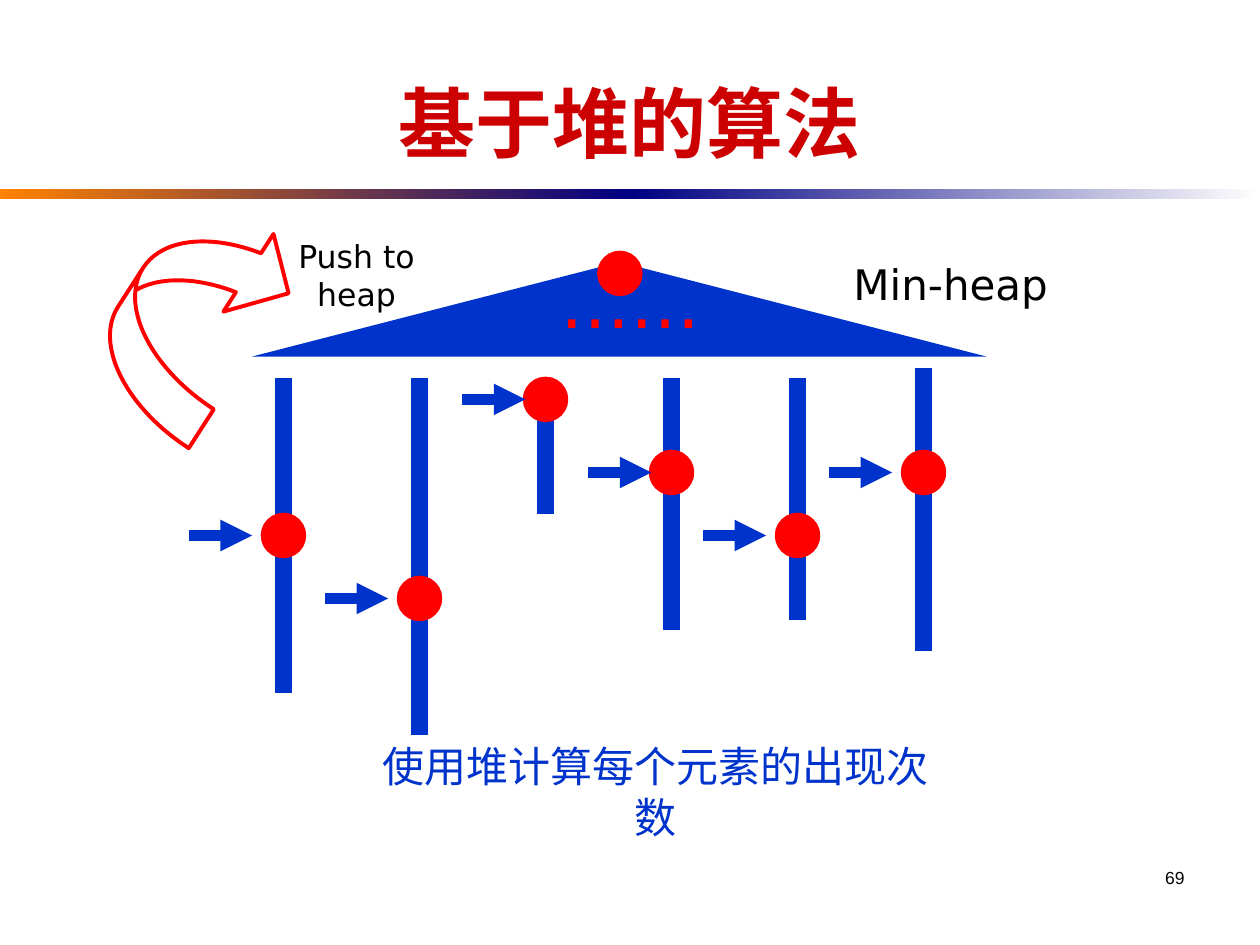
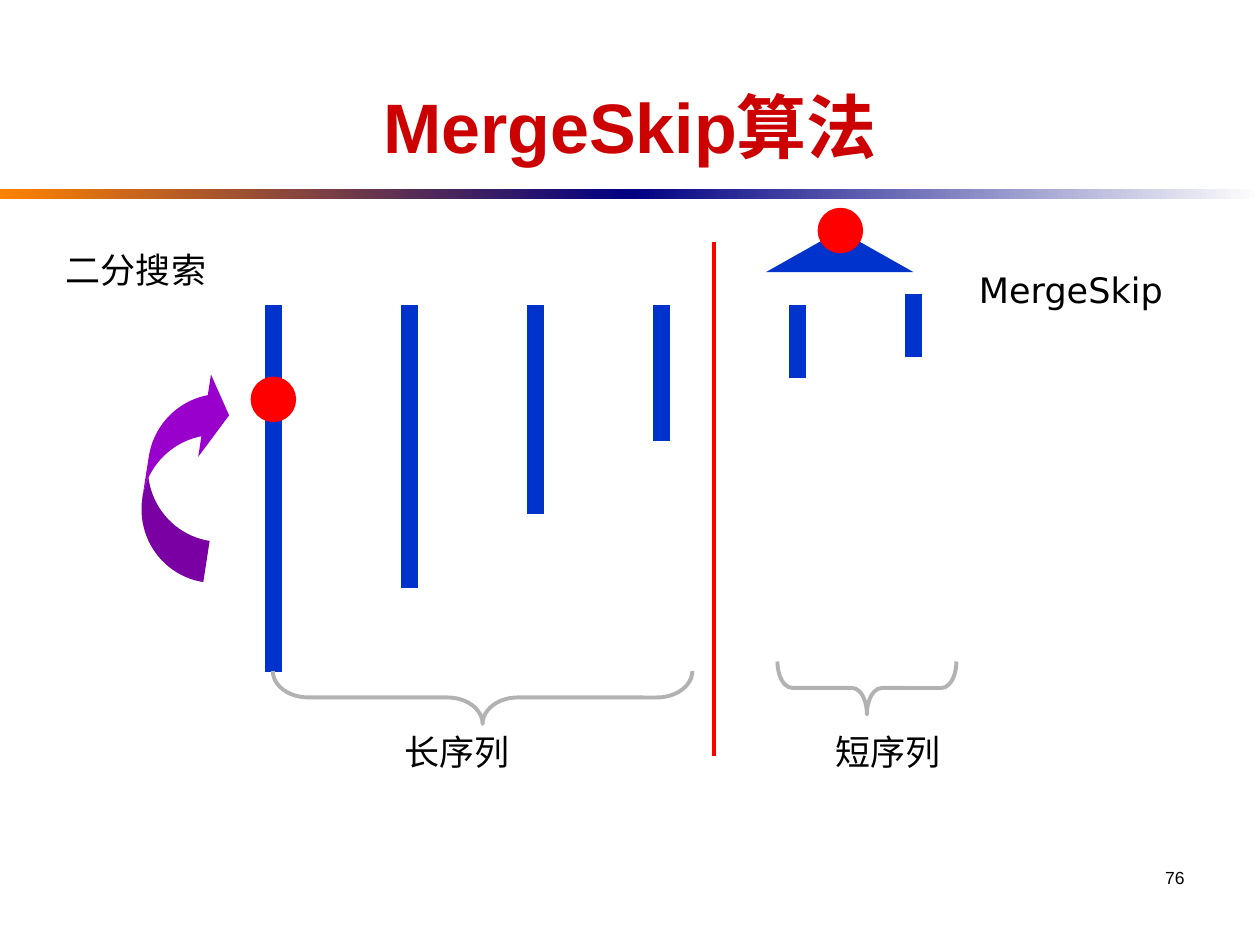
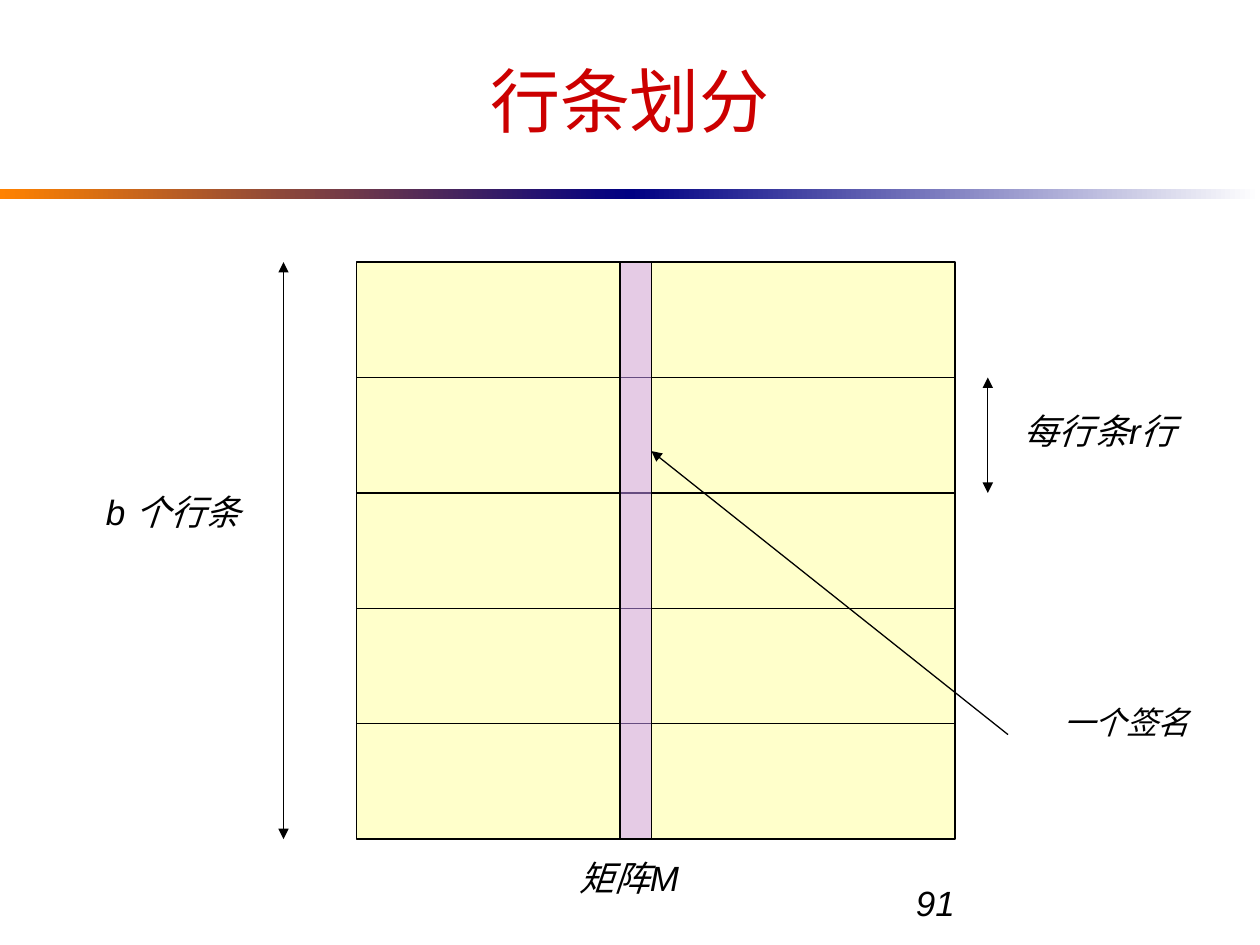
from dataclasses import dataclass

from lxml import etree
from pptx import Presentation
from pptx.dml.color import RGBColor
from pptx.enum.shapes import MSO_CONNECTOR, MSO_SHAPE
from pptx.enum.text import MSO_ANCHOR, MSO_AUTO_SIZE, PP_ALIGN
from pptx.oxml.ns import qn
from pptx.util import Inches, Pt

RECT, OVAL, TRIANGLE = MSO_SHAPE.RECTANGLE, MSO_SHAPE.OVAL, MSO_SHAPE.ISOSCELES_TRIANGLE
BRACE = MSO_SHAPE.RIGHT_BRACE
LEFT_ARROW, DOWN_ARROW = MSO_SHAPE.CURVED_LEFT_ARROW, MSO_SHAPE.CURVED_DOWN_ARROW
STRAIGHT = MSO_CONNECTOR.STRAIGHT
LEFT, CENTER, RIGHT = PP_ALIGN.LEFT, PP_ALIGN.CENTER, PP_ALIGN.RIGHT
MIDDLE, BOTTOM = MSO_ANCHOR.MIDDLE, MSO_ANCHOR.BOTTOM
NO_FIT, GROW = MSO_AUTO_SIZE.NONE, MSO_AUTO_SIZE.SHAPE_TO_FIT_TEXT

BLUE, RED, BLACK, TITLE_RED = "0033CC", "FF0000", "000000", "CC0000"
GRAY, PURPLE, YELLOW, LILAC = "B2B2B2", "9900CC", "FFFF99", "CC99FF"
ORANGE, NAVY, WHITE = "FF8200", "000082", "FFFFFF"
SANS, DIAGRAM = "Arial", "DejaVu Sans"
DOT = 0.33
TITLE_ONLY = 5


@dataclass(frozen=True)
class Box:
    left: float
    top: float
    width: float
    height: float

    def emu(self) -> tuple:
        return tuple(Inches(v) for v in (self.left, self.top, self.width, self.height))


@dataclass(frozen=True)
class Label:
    text: str
    box: Box
    size: float = 20
    color: str = BLACK
    font: str = DIAGRAM
    align: int = CENTER
    italic: bool = False
    wrap: bool = True
    grow: bool = True


@dataclass(frozen=True)
class InvertedList:
    x: float
    top: float
    bottom: float


@dataclass(frozen=True)
class ScannedList(InvertedList):
    cursor_y: float
    pointer_tip: float


def rgb(color: str) -> RGBColor:
    return RGBColor.from_string(color)


# Drawing helpers
def format_text(frame, size: float, color: str, font: str, align: int,
                bold: bool = False, italic: bool = False) -> None:
    for paragraph in frame.paragraphs:
        paragraph.alignment = align
        for run in paragraph.runs:
            run.font.size, run.font.name = Pt(size), font
            run.font.bold, run.font.italic = bold, italic
            run.font.color.rgb = rgb(color)


def add_label(slide, label: Label) -> None:
    frame = slide.shapes.add_textbox(*label.box.emu()).text_frame
    frame.word_wrap = label.wrap
    frame.auto_size = GROW if label.grow else NO_FIT
    frame.text = label.text
    format_text(frame, label.size, label.color, label.font, label.align, italic=label.italic)


def add_figure(slide, preset: int, box: Box, fill: str = "", line: str = "",
               weight: float = 2.25, alpha: int = 100, rotation: float = 0,
               adjustments: tuple = ()):
    shape = slide.shapes.add_shape(preset, *box.emu())
    shape.shadow.inherit = False
    shape.rotation = rotation
    for index, value in enumerate(adjustments):
        shape.adjustments[index] = value
    if fill:
        shape.fill.solid()
        shape.fill.fore_color.rgb = rgb(fill)
        if alpha < 100:
            color = shape.fill._xPr.find(".//" + qn("a:srgbClr"))
            etree.SubElement(color, qn("a:alpha"), val=str(alpha * 1000))
    else:
        shape.fill.background()
    if line:
        shape.line.color.rgb = rgb(line)
        shape.line.width = Pt(weight)
    else:
        shape.line.fill.background()
    return shape


def add_line(slide, start: tuple, end: tuple, color: str = BLACK, weight: float = 0.75,
             heads: tuple = ()) -> None:
    connector = slide.shapes.add_connector(
        STRAIGHT, *(Inches(v) for v in (*start, *end)))
    connector.line.color.rgb = rgb(color)
    connector.line.width = Pt(weight)
    properties = connector.element.spPr
    for head in heads:
        etree.SubElement(properties.find(qn("a:ln")), qn("a:" + head), type="triangle")
    etree.SubElement(properties, qn("a:effectLst"))


def add_dot(slide, x: float, y: float) -> None:
    add_figure(slide, OVAL, Box(x - DOT / 2, y - DOT / 2, DOT, DOT), RED, RED)


def add_list(slide, item: InvertedList) -> None:
    add_line(slide, (item.x, item.top), (item.x, item.bottom), BLUE, 10)


# Shared frame: title, gradient band, page number
def add_band(slide, layout) -> None:
    for left, first, last in ((0, ORANGE, NAVY), (5, NAVY, WHITE)):
        band = add_figure(slide, RECT, Box(left, 1.5, 5, 0.08))
        band.fill.gradient()
        band.fill.gradient_angle = 0
        for stop, color in zip(band.fill.gradient_stops, (first, last)):
            stop.color.rgb = rgb(color)
        layout.shapes.element.append(band.element)


def add_slide(deck, title: str, size: float = 40, bold: bool = True,
              anchor: int = BOTTOM, inset: tuple = (0, 0)):
    slide = deck.slides.add_slide(deck.slide_layouts[TITLE_ONLY])
    holder = slide.shapes.title
    holder.left, holder.top, holder.width, holder.height = Box(0.5, 0.25, 9, 1.08).emu()
    frame = holder.text_frame
    frame.text = title
    frame.auto_size, frame.vertical_anchor = NO_FIT, anchor
    frame.margin_left = frame.margin_right = Inches(inset[0])
    frame.margin_top = frame.margin_bottom = Inches(inset[1])
    format_text(frame, size, TITLE_RED, SANS, CENTER, bold)
    return slide


def add_page_number(slide, number: int) -> None:
    add_label(slide, Label(str(number), Box(7.17, 6.83, 2.33, 0.5), 10,
                           font=SANS, align=RIGHT, grow=False))


# Slides
def heap_slide(deck) -> None:
    slide = add_slide(deck, "基于堆的算法", 44)
    add_band(slide, slide.slide_layout)
    add_figure(slide, TRIANGLE, Box(2, 2.08, 5.83, 0.75), BLUE)
    add_figure(slide, LEFT_ARROW, Box(1, 1.58, 1.08, 1.83), line=RED, rotation=212.8,
               adjustments=(0.34, 0.68, 0.33))
    for item in (
        ScannedList(2.25, 3, 5.5, 4.25, 2),
        ScannedList(3.33, 3, 5.83, 4.75, 3.08),
        ScannedList(4.33, 3, 4.08, 3.17, 4.17),
        ScannedList(5.33, 3, 5, 3.75, 5.17),
        ScannedList(6.33, 3, 4.92, 4.25, 6.08),
        ScannedList(7.33, 2.92, 5.17, 3.75, 7.08),
    ):
        add_list(slide, item)
        add_dot(slide, item.x, item.cursor_y)
        add_line(slide, (item.pointer_tip - 0.5, item.cursor_y),
                 (item.pointer_tip, item.cursor_y), BLUE, 6, ("tailEnd",))
    add_dot(slide, 4.92, 2.17)
    for label in (
        Label("Min-heap", Box(6.42, 2, 2.25, 0.5), 24),
        Label("使用堆计算每个元素的出现次数", Box(2.77, 5.83, 4.86, 0.5), 24, BLUE, wrap=False),
        Label("Push to heap", Box(2.08, 1.83, 1.5, 0.7), 18),
        Label("……", Box(3.92, 2, 2.17, 0.77), 40, RED),
    ):
        add_label(slide, label)
    add_page_number(slide, 69)


def merge_skip_slide(deck) -> None:
    slide = add_slide(deck, "MergeSkip算法")
    for item in (
        InvertedList(2.17, 2.42, 5.33),
        InvertedList(3.25, 2.42, 4.67),
        InvertedList(4.25, 2.42, 4.08),
        InvertedList(5.25, 2.42, 3.5),
        InvertedList(6.33, 2.42, 3),
        InvertedList(7.25, 2.33, 2.83),
    ):
        add_list(slide, item)
    add_dot(slide, 2.17, 3.17)
    add_line(slide, (5.67, 1.92), (5.67, 6), RED, 2.25)
    # Braces under the long and the short lists
    for box, curve in ((Box(3.62, 3.87, 0.42, 3.33), 0.67), (Box(6.67, 4.75, 0.42, 1.42), 0.28)):
        add_figure(slide, BRACE, box, line=GRAY, rotation=90, adjustments=(curve, 0.5))
    add_figure(slide, DOWN_ARROW, Box(0.62, 3.46, 1.67, 0.58), PURPLE, rotation=278.8,
               adjustments=(0.57, 1.14, 0.33))
    add_figure(slide, TRIANGLE, Box(6.08, 1.83, 1.17, 0.33), BLUE)
    add_dot(slide, 6.67, 1.83)
    for text, left, top, width in (
        ("长序列", 1.75, 5.75, 3.75),
        ("短序列", 5.17, 5.75, 3.75),
        ("二分搜索", -0.42, 1.92, 3),
        ("MergeSkip", 7, 2.08, 3),
    ):
        add_label(slide, Label(text, Box(left, top, width, 0.44)))
    add_page_number(slide, 76)


def banding_slide(deck) -> None:
    slide = add_slide(deck, "行条划分", bold=False, anchor=MIDDLE, inset=(0.1, 0.05))
    matrix, bands = Box(2.83, 2.08, 4.75, 4.58), 5
    bottom, right = matrix.top + matrix.height, matrix.left + matrix.width
    edges = [matrix.top + matrix.height * i / bands for i in range(bands + 1)]
    add_figure(slide, RECT, matrix, YELLOW, BLACK, 0.75, alpha=50)
    for y in edges[1:-1]:
        add_line(slide, (matrix.left, y), (right, y))
    # Signature column and measuring arrows
    add_figure(slide, RECT, Box(4.92, matrix.top, 0.25, matrix.height),
               LILAC, BLACK, 0.75, alpha=50)
    for x, top, end in ((7.84, edges[1], edges[2]), (2.25, matrix.top, bottom)):
        add_line(slide, (x, top), (x, end), heads=("headEnd", "tailEnd"))
    add_line(slide, (8, 5.83), (5.17, 3.58), heads=("tailEnd",))
    for text, box, size in (
        ("矩阵M", Box(4.47, 6.75, 1.05, 0.44), 20),
        ("每行条r行", Box(7.96, 3.2, 1.54, 0.44), 20),
        ("b 个行条", Box(0.71, 3.84, 1.33, 0.44), 20),
        ("一个签名", Box(8.34, 5.53, 1.2, 0.4), 18),
    ):
        add_label(slide, Label(text, box, size, font=SANS, italic=True, wrap=False))
    add_label(slide, Label("91", Box(7.17, 6.95, 2.33, 0.4), font=SANS, align=LEFT,
                           italic=True, grow=False))


def main() -> None:
    deck = Presentation()
    deck.slide_width, deck.slide_height = Inches(10), Inches(7.5)
    heap_slide(deck)
    merge_skip_slide(deck)
    banding_slide(deck)
    deck.save("out.pptx")


if __name__ == "__main__":
    main()
